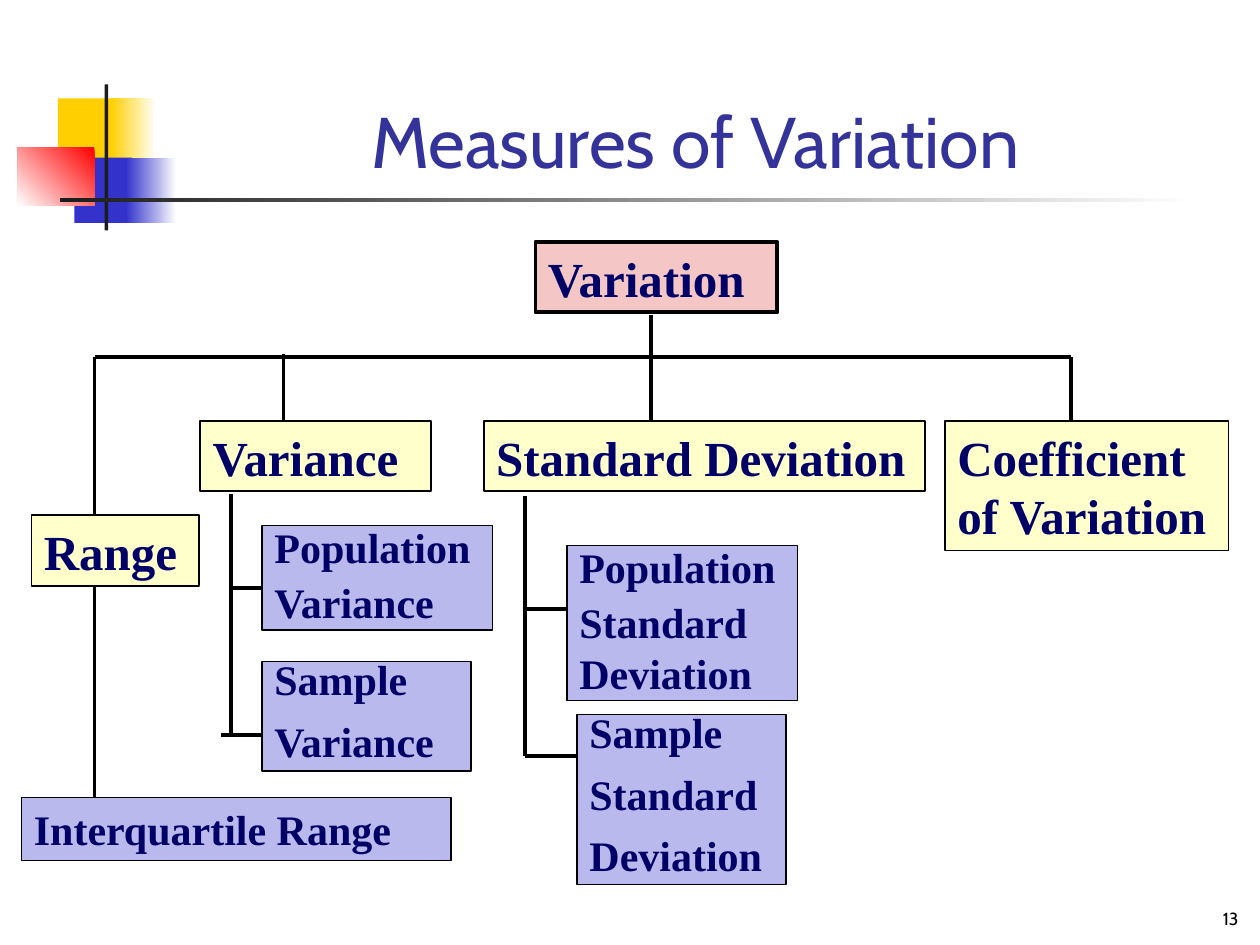
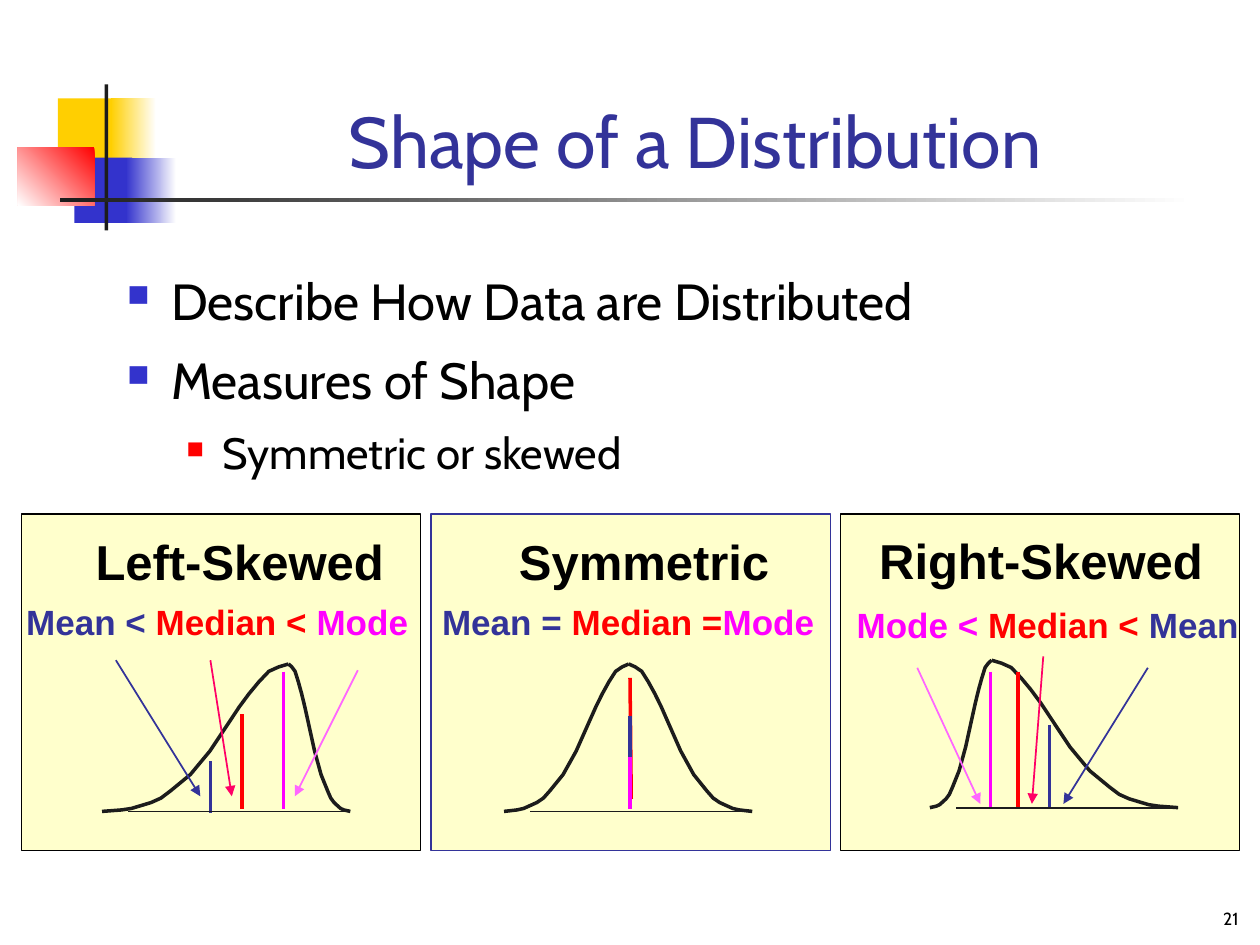
import lxml.etree
import pptx
import pptx.dml.color
import pptx.enum.shapes
import pptx.enum.text
import pptx.oxml.ns
import pptx.util

Inches = pptx.util.Inches
Align = pptx.enum.text.PP_ALIGN
Anchor = pptx.enum.text.MSO_ANCHOR
RECTANGLE = pptx.enum.shapes.MSO_SHAPE.RECTANGLE
qn = pptx.oxml.ns.qn
rgb = pptx.dml.color.RGBColor.from_string


class Theme:
    white, black, ink = "FFFFFF", "000000", "1C1C1C"
    yellow, blue, red = "FFCF01", "3333CC", "FF0000"
    title, tree_text = "333399", "000066"
    root_fill, measure_fill, detail_fill = "F4C7C6", "FFFFCC", "B9B9ED"
    mean, median, mode = "333399", "FF0000", "FF00FF"
    median_arrow, mode_arrow = "FF0066", "FF66FF"
    body_font, tree_font, panel_font = "Cabin", "Times New Roman", "Arial"
    title_size, number_size = 41, 10
    bullet_size, sub_bullet_size = 29, 25
    measure_size, detail_size = 28, 24
    heading_size, relation_size = 28, 20
    tree_line, curve_line, thin_line, panel_line = 2.25, 2, 1, 0.75


def write(shape, runs, *, font=Theme.body_font, size, color=Theme.black, bold=False,
          align=Align.LEFT, anchor=Anchor.TOP, wrap=True, inset=0.1,
          line_spacing=None, space_before=0, bullet=None):
    """Add a paragraph; runs is a string or a list of (text, color) pairs."""
    frame = shape.text_frame
    first = not frame.text
    paragraph = frame.paragraphs[0] if first else frame.add_paragraph()
    frame.auto_size = pptx.enum.text.MSO_AUTO_SIZE.NONE
    frame.word_wrap = wrap
    frame.vertical_anchor = anchor
    frame.margin_left = frame.margin_right = Inches(inset)
    frame.margin_top = frame.margin_bottom = Inches(0.05)
    if bullet:
        bullet_color, percent, margin, hanging = bullet
        properties = paragraph._p.get_or_add_pPr()
        properties.set("marL", str(Inches(margin)))
        properties.set("indent", str(-Inches(hanging)))
        color_element = lxml.etree.SubElement(properties, qn("a:buClr"))
        lxml.etree.SubElement(color_element, qn("a:srgbClr"), val=bullet_color)
        lxml.etree.SubElement(properties, qn("a:buSzPct"), val=str(percent * 1000))
        lxml.etree.SubElement(properties, qn("a:buChar"), char="■")
    paragraph.alignment = align
    if line_spacing:
        paragraph.line_spacing = line_spacing
    paragraph.space_before = pptx.util.Pt(0 if first else space_before)
    for text, run_color in [(runs, color)] if isinstance(runs, str) else runs:
        run = paragraph.add_run()
        run.text = text
        run.font.name = font
        run.font.size = pptx.util.Pt(size)
        run.font.bold = bold
        run.font.color.rgb = rgb(run_color)


def draw_line(slide, x1, y1, x2, y2, color, width, arrow=False):
    connector = slide.shapes.add_connector(
        pptx.enum.shapes.MSO_CONNECTOR.STRAIGHT,
        Inches(x1), Inches(y1), Inches(x2), Inches(y2))
    connector.line.color.rgb = rgb(color)
    connector.line.width = pptx.util.Pt(width)
    properties = connector.element.spPr
    if arrow:
        lxml.etree.SubElement(properties.find(qn("a:ln")), qn("a:tailEnd"), type="triangle")
    lxml.etree.SubElement(properties, qn("a:effectLst"))


presentation = pptx.Presentation()
presentation.slide_width = Inches(10)
presentation.slide_height = Inches(7.5)

# Shared frame: corner squares, rules, title and number
ornaments = [
    # left, top, width, height, start color, end color, angle
    (0.46, 0.78, 0.48, 0.52, Theme.yellow, None, 0),
    (0.88, 0.78, 0.36, 0.52, Theme.white, Theme.yellow, 180),
    (0.59, 1.25, 0.46, 0.52, Theme.blue, None, 0),
    (1.0, 1.25, 0.4, 0.52, Theme.white, Theme.blue, 180),
    (0.14, 1.17, 0.61, 0.46, Theme.red, Theme.white, 225),
    (0.83, 0.67, 0.03, 1.16, Theme.ink, None, 0),
    (0.48, 1.57, 9, 0.03, Theme.white, Theme.ink, 180),
]
slides = []
for title, number in [("Measures of Variation", "13"), ("Shape of a Distribution", "21")]:
    slide = presentation.slides.add_slide(presentation.slide_layouts[5])
    slides.append(slide)
    for left, top, width, height, start, end, angle in ornaments:
        shape = slide.shapes.add_shape(
            RECTANGLE, Inches(left), Inches(top), Inches(width), Inches(height))
        shape.shadow.inherit = False
        shape.line.fill.background()
        if end:
            shape.fill.gradient()
            shape.fill.gradient_angle = angle
            for stop, stop_color in zip(shape.fill.gradient_stops, (start, end)):
                stop.color.rgb = rgb(stop_color)
        else:
            shape.fill.solid()
            shape.fill.fore_color.rgb = rgb(start)

    heading = slide.shapes.title
    heading.left, heading.top = Inches(1.26), Inches(0.25)
    heading.width, heading.height = Inches(8.52), Inches(1.25)
    write(heading, title, size=Theme.title_size, color=Theme.title,
          align=Align.CENTER, anchor=Anchor.BOTTOM, inset=0.09)
    number_box = slide.shapes.add_textbox(
        Inches(7.84), Inches(6.91), Inches(2.08), Inches(0.51))
    write(number_box, number, size=Theme.number_size,
          align=Align.RIGHT, anchor=Anchor.BOTTOM, inset=0.09)

tree_slide, shape_slide = slides

# Tree branches
branches = [
    (0.75, 2.83, 8.5, 2.83),
    (5.17, 2.5, 5.17, 3.35),
    (0.75, 2.83, 0.75, 6.6),
    (2.25, 2.81, 2.25, 3.33),
    (8.5, 2.83, 8.5, 3.33),
    (1.83, 3.92, 1.83, 5.82),
    (1.83, 4.67, 2.37, 4.67),
    (1.75, 5.83, 2.13, 5.83),
    (4.17, 3.94, 4.17, 6),
    (4.17, 4.83, 4.52, 4.83),
    (4.17, 6, 4.63, 6),
]
for branch in branches:
    draw_line(tree_slide, *branch, Theme.black, Theme.tree_line)

# Tree boxes
root = (Theme.root_fill, Theme.tree_line, Theme.measure_size)
measure = (Theme.measure_fill, Theme.thin_line, Theme.measure_size)
detail = (Theme.detail_fill, Theme.thin_line, Theme.detail_size)
tree_boxes = [
    # style, left, top, width, height, text lines, first and later line spacing
    (root, 4.25, 1.92, 1.92, 0.56, ["Variation"], 1, 1),
    (measure, 1.59, 3.34, 1.83, 0.56, ["Variance"], 1, 1),
    (measure, 3.84, 3.34, 3.5, 0.56, ["Standard Deviation"], 1, 1),
    (measure, 7.5, 3.34, 2.25, 1.03, ["Coefficient of Variation"], 1, 1),
    (measure, 0.25, 4.09, 1.33, 0.56, ["Range"], 1, 1),
    (detail, 2.08, 4.17, 1.83, 0.83, ["Population", "Variance"], 0.8, 0.5),
    (detail, 2.08, 5.25, 1.66, 0.87, ["Sample", "Variance"], 0.7, 0.7),
    (detail, 4.5, 4.33, 1.83, 1.23, ["Population", "Standard", "Deviation"], 0.8, 0.5),
    (detail, 4.58, 5.67, 1.66, 1.35, ["Sample", "Standard", "Deviation"], 0.7, 0.7),
    (detail, 0.17, 6.33, 3.41, 0.5, ["Interquartile Range"], 1, 1),
]
for style, left, top, width, height, lines, first_spacing, later_spacing in tree_boxes:
    fill, line_width, size = style
    box = tree_slide.shapes.add_shape(
        RECTANGLE, Inches(left), Inches(top), Inches(width), Inches(height))
    box.shadow.inherit = False
    box.fill.solid()
    box.fill.fore_color.rgb = rgb(fill)
    box.line.color.rgb = rgb(Theme.black)
    box.line.width = pptx.util.Pt(line_width)
    for index, text in enumerate(lines):
        write(box, text, font=Theme.tree_font, size=size, color=Theme.tree_text, bold=True,
              line_spacing=later_spacing if index else first_spacing, space_before=15)

# Bullets on the shape of a distribution
body = shape_slide.shapes.add_textbox(Inches(0.92), Inches(2.04), Inches(8.83), Inches(4.96))
for text in ("Describe How Data are Distributed", "Measures of Shape"):
    write(body, text, size=Theme.bullet_size, inset=0.09, line_spacing=1.1,
          space_before=7.3, bullet=(Theme.blue, 60, 0.35, 0.35))
write(body, "Symmetric or skewed", size=Theme.sub_bullet_size, inset=0.09, line_spacing=1.1,
      space_before=6.2, bullet=(Theme.red, 55, 0.76, 0.29))

# Rise of a curve from foot to peak: steps of 1/19 across, share of the height
curve_profile = list(zip(
    (0, 2, 3, 4, 5, 6, 7, 9, 11, 13, 14, 15, 16, 17, 18, 19),
    (0, 0.01, 0.02, 0.04, 0.06, 0.09, 0.14, 0.25, 0.41, 0.61, 0.71, 0.8, 0.88, 0.95, 0.98, 1)))
curve_height = 1.17

panels = [
    {
        "heading": ("Left-Skewed", 0.66, 4.17, 2.49), "border": Theme.black,
        "relation": ([("Mean <", Theme.mean), (" Median <", Theme.median),
                      (" Mode", Theme.mode)], 0.11, 4.72, 3.23),
        "curve": (0.81, 2.29, 2.78, 6.44),
        "markers": [(2.25, 5.33, 2.25, 6.42, Theme.mode), (1.92, 5.67, 1.92, 6.42, Theme.median),
                    (1.67, 6.04, 1.67, 6.45, Theme.mean)],
        "arrows": [(2.84, 5.32, 2.34, 6.32, Theme.mode_arrow),
                   (1.67, 5.24, 1.84, 6.32, Theme.median_arrow),
                   (0.92, 5.24, 1.59, 6.32, Theme.mean)],
    },
    {
        "heading": ("Symmetric", 4.02, 4.17, 2.18), "border": Theme.title,
        "relation": ([("Mean =", Theme.mean), (" Median =", Theme.median),
                      ("Mode", Theme.mode)], 3.41, 4.72, 3.15),
        "curve": (4.0, 4.99, 5.97, 6.44),
        "markers": [(5, 5.38, 5.01, 6.34, Theme.median), (5, 5.68, 5, 6.25, Theme.mean),
                    (5, 6.01, 5, 6.42, Theme.mode)],
        "arrows": [],
    },
    {
        "heading": ("Right-Skewed", 6.88, 4.16, 2.77), "border": Theme.black,
        "relation": ([("Mode < ", Theme.mode), ("Median < ", Theme.median),
                      ("Mean", Theme.mean)], 6.7, 4.74, 3.22),
        "curve": (7.38, 7.87, 9.35, 6.41),
        "markers": [(7.86, 5.33, 7.86, 6.42, Theme.mode), (8.08, 5.33, 8.08, 6.42, Theme.median),
                    (8.33, 5.75, 8.33, 6.42, Theme.mean)],
        "arrows": [(7.28, 5.3, 7.78, 6.38, Theme.mode_arrow),
                   (8.28, 5.21, 8.19, 6.38, Theme.median_arrow),
                   (9.11, 5.3, 8.44, 6.38, Theme.mean)],
    },
]
for index, panel in enumerate(panels):
    # Panel background
    card = shape_slide.shapes.add_shape(
        RECTANGLE, Inches(0.17 + 3.25 * index), Inches(4.08), Inches(3.17), Inches(2.67))
    card.shadow.inherit = False
    card.fill.solid()
    card.fill.fore_color.rgb = rgb(Theme.measure_fill)
    card.line.color.rgb = rgb(panel["border"])
    card.line.width = pptx.util.Pt(Theme.panel_line)

    # Both halves of the curve, each from its foot to the peak
    left_foot, peak, right_foot, base = panel["curve"]
    for foot in (right_foot, left_foot):
        points = [(Inches(foot + (peak - foot) * step / 19), Inches(base - curve_height * rise))
                  for step, rise in curve_profile]
        builder = shape_slide.shapes.build_freeform(*points[0])
        builder.add_line_segments(points[1:], close=False)
        curve = builder.convert_to_shape()
        curve.shadow.inherit = False
        curve.fill.background()
        curve.line.color.rgb = rgb(Theme.ink)
        curve.line.width = pptx.util.Pt(Theme.curve_line)

    # Markers, axis and arrows
    for *ends, color in panel["markers"]:
        draw_line(shape_slide, *ends, color, Theme.curve_line)
    draw_line(shape_slide, left_foot + 0.21, base, right_foot - 0.02, base,
              Theme.ink, Theme.thin_line)
    for *ends, color in panel["arrows"]:
        draw_line(shape_slide, *ends, color, Theme.thin_line, arrow=True)

    # Heading and relation of the averages
    for key, height, size in (("heading", 0.56, Theme.heading_size),
                              ("relation", 0.43, Theme.relation_size)):
        text, left, top, width = panel[key]
        label = shape_slide.shapes.add_textbox(
            Inches(left), Inches(top), Inches(width), Inches(height))
        write(label, text, font=Theme.panel_font, size=size, bold=True, wrap=False)

presentation.save("out.pptx")
